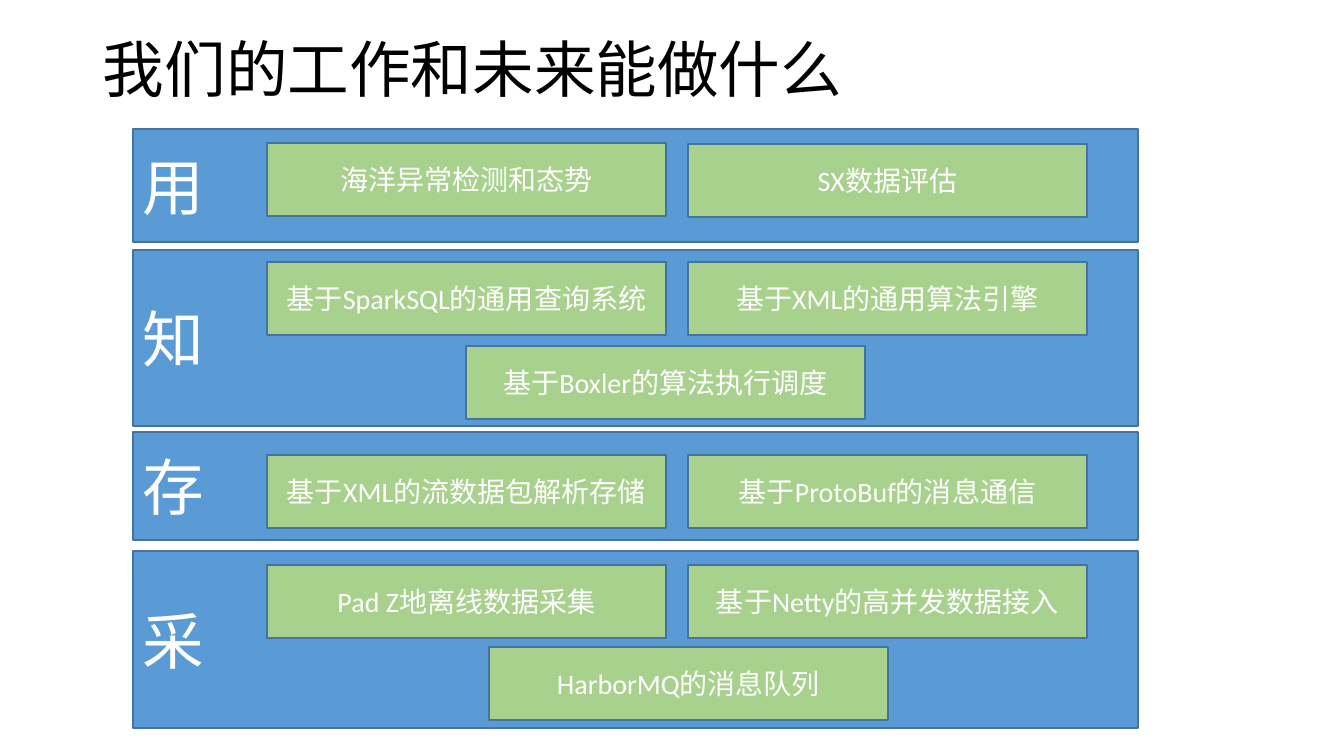
import pptx
import pptx.util
import pptx.dml.color
import pptx.enum.shapes
import pptx.enum.text

COLORS = {
    "band": "5B9BD5",
    "module": "A9D18E",
    "border": "43739E",
    "title": "000000",
    "label": "FFFFFF",
}
FONT = "Calibri"
LEFT = pptx.enum.text.PP_ALIGN.LEFT
CENTER = pptx.enum.text.PP_ALIGN.CENTER
BAND_LEFT, BAND_WIDTH = 133, 1005
MODULE_WIDTH, MODULE_HEIGHT = 399, 73
FIRST_COLUMN, SECOND_COLUMN = 267, 688


def px(value):
    return pptx.util.Emu(round(value * 914400 / 100.8))


def write(shape, text, size, color, alignment):
    frame = shape.text_frame
    frame.word_wrap = True
    frame.vertical_anchor = pptx.enum.text.MSO_ANCHOR.MIDDLE
    frame.text = text
    paragraph = frame.paragraphs[0]
    paragraph.alignment = alignment
    font = paragraph.runs[0].font
    font.name = FONT
    font.size = pptx.util.Pt(size)
    font.color.rgb = pptx.dml.color.RGBColor.from_string(COLORS[color])


presentation = pptx.Presentation()
presentation.slide_width = px(1344)
presentation.slide_height = px(756)
slide = presentation.slides.add_slide(presentation.slide_layouts[6])

title = slide.shapes.add_textbox(px(93), px(0), px(1159), px(146))
write(title, "我们的工作和未来能做什么", 44, "title", LEFT)
title.text_frame.paragraphs[0].line_spacing = 0.9

layers = [
    ("用", 129, 113, [
        ("海洋异常检测和态势", FIRST_COLUMN, 143),
        ("SX数据评估", SECOND_COLUMN, 144),
    ]),
    ("知", 250, 176, [
        ("基于SparkSQL的通用查询系统", FIRST_COLUMN, 262),
        ("基于XML的通用算法引擎", SECOND_COLUMN, 262),
        ("基于Boxler的算法执行调度", 466, 346),
    ]),
    ("存", 432, 108, [
        ("基于XML的流数据包解析存储", FIRST_COLUMN, 455),
        ("基于ProtoBuf的消息通信", SECOND_COLUMN, 455),
    ]),
    ("采", 551, 177, [
        ("Pad Z地离线数据采集", FIRST_COLUMN, 565),
        ("基于Netty的高并发数据接入", SECOND_COLUMN, 565),
        ("HarborMQ的消息队列", 489, 647),
    ]),
]

for name, band_top, band_height, modules in layers:
    boxes = [(name, BAND_LEFT, band_top, BAND_WIDTH, band_height, "band", 44, LEFT)]
    for text, left, top in modules:
        boxes.append((text, left, top, MODULE_WIDTH, MODULE_HEIGHT, "module", 20, CENTER))
    for text, left, top, width, height, fill, size, alignment in boxes:
        shape = slide.shapes.add_shape(
            pptx.enum.shapes.MSO_SHAPE.RECTANGLE, px(left), px(top), px(width), px(height)
        )
        shape.shadow.inherit = False
        shape.fill.solid()
        shape.fill.fore_color.rgb = pptx.dml.color.RGBColor.from_string(COLORS[fill])
        shape.line.color.rgb = pptx.dml.color.RGBColor.from_string(COLORS["border"])
        shape.line.width = pptx.util.Pt(1)
        write(shape, text, size, "label", alignment)

presentation.save("out.pptx")
